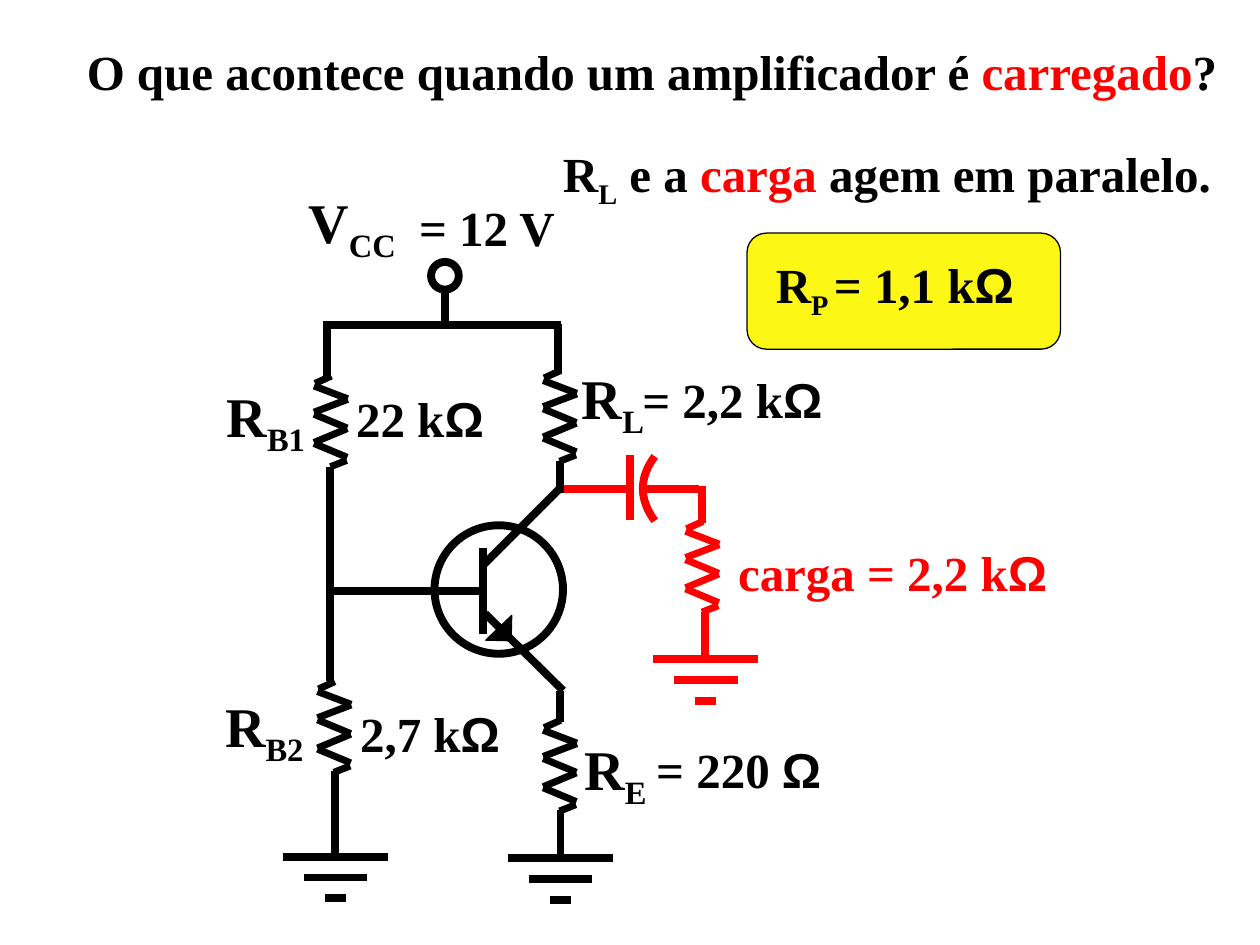
"""Build a slide on how a load changes a transistor amplifier."""
from lxml.etree import SubElement
from pptx import Presentation
from pptx.dml.color import RGBColor
from pptx.enum.shapes import MSO_CONNECTOR, MSO_SHAPE
from pptx.enum.text import MSO_AUTO_SIZE
from pptx.oxml.ns import qn
from pptx.util import Cm, Pt

COLORS = {"ink": "000000", "load": "FF0000", "box": "FDF715"}
OHM = ("Ω", {"font": "Arial"})
SUB = {"sub": True}
RED = {"color": "load"}

ZIGZAG = [
    (0.68, 0.46, 0, 0.2), (0.67, 1.05, 0, 0.77), (0.67, 1.64, 0, 1.36),
    (0, 1.34, 0.67, 1.06), (0, 0.73, 0.68, 0.47),
    (0.02, 0.15, 0.35, 0), (0.33, 1.83, 0.66, 1.7),
]
RESISTORS = [
    (10.95, 7.47, "ink"), (6.33, 7.58, "ink"), (10.95, 14.52, "ink"),
    (6.4, 13.74, "ink"), (13.82, 10.51, "load"),
]
GROUNDS = [(11.3, 17.3, "ink"), (6.76, 17.27, "ink"), (14.23, 13.29, "load")]
WIRES = {
    "load": [
        (11.3, 9.86, 12.67, 9.86), (12.7, 10.49, 12.7, 9.17),
        (14.1, 9.86, 13, 9.86), (14.22, 12.34, 14.22, 13.28),
        (14.15, 9.8, 14.15, 10.54),
    ],
    "ink": [
        (9.78, 12.37, 11.35, 13.92), (9.73, 11.91, 6.65, 11.91),
        (9.73, 11.4, 11.3, 9.83), (9.73, 11.05, 9.73, 12.78),
        (6.65, 9.42, 6.65, 13.72), (11.28, 9.3, 11.28, 9.93),
        (11.28, 13.92, 11.28, 14.55), (6.58, 6.55, 11.3, 6.55),
        (6.6, 6.48, 6.6, 7.62), (11.25, 7.52, 11.25, 6.53),
        (6.76, 15.54, 6.76, 17.22), (8.97, 5.79, 8.97, 6.6),
        (11.3, 16.33, 11.3, 17.3),
    ],
}
NAMES = [
    (4.32, 7.57, 2.21, "R", "B1"), (5.97, 3.66, 2.41, "V", "CC"),
    (4.29, 13.82, 2.21, "R", "B2"), (11.53, 14.68, 1.83, "R", "E"),
    (11.48, 7.21, 1.83, "R", "L"),
]
LABELS = [
    (8.2, 3.86, 3.25, 1.32, [("= 12 V", {})]),
    (7.01, 14.05, 3.33, 1.45, [("2,7 k", {}), OHM]),
    (6.93, 7.7, 3.1, 1.32, [("22 k", {}), OHM]),
    (12.7, 7.32, 4.14, 1.45, [("= 2,2 k", {}), OHM]),
    (12.98, 14.78, 3.86, 1.32, [("= 220 ", {}), OHM]),
    (14.63, 10.82, 6.78, 1.45,
     [("carga = 2,2 k", RED), ("Ω", {"font": "Arial", **RED})]),
    (1.5, 0.71, 23.37, 1.32,
     [("O que acontece quando um amplificador é ", {}),
      ("carregado", RED), ("?", {})]),
    (11.1, 2.77, 13.64, 1.32,
     [("R", {}), ("L", SUB), (" e a ", {}), ("carga ", RED),
      ("agem em paralelo.", {})]),
    (15.39, 5, 5.41, 1.45,
     [("R", {}), ("P ", SUB), ("= 1,1 k", {}), OHM]),
]


def rgb(name):
    """Return the named colour."""
    return RGBColor.from_string(COLORS[name])


def set_line(sp, color, width):
    """Set the colour and width of an outline."""
    sp.line.color.rgb = rgb(color)
    sp.line.width = Pt(width)


def add_line(s, x1, y1, x2, y2, color="ink", width=4.5):
    """Draw a straight line between two points in centimetres."""
    sp = s.shapes.add_connector(
        MSO_CONNECTOR.STRAIGHT, Cm(x1), Cm(y1), Cm(x2), Cm(y2))
    set_line(sp, color, width)
    SubElement(sp._element.spPr, qn("a:effectLst"))


def add_preset(s, kind, x, y, w, h, fill=None, width=4.5):
    """Draw a preset shape with a black outline and an optional fill."""
    sp = s.shapes.add_shape(kind, Cm(x), Cm(y), Cm(w), Cm(h))
    sp.shadow.inherit = False
    set_line(sp, "ink", width)
    if fill:
        sp.fill.solid()
        sp.fill.fore_color.rgb = rgb(fill)
    else:
        sp.fill.background()
    return sp


def add_resistor(s, x, y, color):
    """Draw a zigzag resistor from its top left corner."""
    for x1, y1, x2, y2 in ZIGZAG:
        add_line(s, x + x1, y + y1, x + x2, y + y2, color, 4)


def add_ground(s, x, y, color):
    """Draw three shrinking bars centred on x."""
    for i, half in enumerate((1.06, 0.64, 0.21)):
        add_line(s, x - half, y + 0.42 * i, x + half, y + 0.42 * i, color)


def add_capacitor_plate(s, x, y):
    """Draw the curved plate with its leftmost point at x, y."""
    steps = [i / 8 for i in range(-8, 9)]
    points = [(Cm(x + 0.24 * t * t), Cm(y + 0.65 * t)) for t in steps]
    builder = s.shapes.build_freeform(*points[0])
    builder.add_line_segments(points[1:], close=False)
    sp = builder.convert_to_shape()
    sp.shadow.inherit = False
    sp.fill.background()
    set_line(sp, "load", 4.5)


def add_run(p, text, size=28, color="ink", font="Times New Roman", sub=False):
    """Append a bold run with the given format."""
    r = p.add_run()
    r.text = text
    r.font.size = Pt(size)
    r.font.bold = True
    r.font.name = font
    r.font.color.rgb = rgb(color)
    if sub:
        r._r.get_or_add_rPr().set("baseline", "-25000")


def add_label(s, x, y, w, h, runs):
    """Add a text box made of formatted runs."""
    tf = s.shapes.add_textbox(Cm(x), Cm(y), Cm(w), Cm(h)).text_frame
    tf.word_wrap = False
    tf.auto_size = MSO_AUTO_SIZE.SHAPE_TO_FIT_TEXT
    for text, style in runs:
        add_run(tf.paragraphs[0], text, **style)


def main():
    """Build and save the slide."""
    prs = Presentation()
    prs.slide_width, prs.slide_height = Cm(25.4), Cm(19.05)
    s = prs.slides.add_slide(prs.slide_layouts[6])

    add_preset(s, MSO_SHAPE.ROUNDED_RECTANGLE, 15.06, 4.7, 6.32, 2.34, "box", 0.75)
    add_preset(s, MSO_SHAPE.OVAL, 8.76, 10.59, 2.59, 2.59)
    arrow = add_preset(s, MSO_SHAPE.RIGHT_TRIANGLE, 9.8, 12.4, 0.51, 0.51, "ink", 0.75)
    arrow.rotation = 271.3

    for color, wires in WIRES.items():
        for wire in wires:
            add_line(s, *wire, color=color)
    for resistor in RESISTORS:
        add_resistor(s, *resistor)
    for ground in GROUNDS:
        add_ground(s, *ground)
    add_capacitor_plate(s, 12.96, 9.85)
    add_preset(s, MSO_SHAPE.OVAL, 8.69, 5.28, 0.56, 0.56)

    for x, y, w, name, index in NAMES:
        runs = [(name, {"size": 32}), (index, {"size": 32, **SUB})]
        add_label(s, x, y, w, 1.47, runs)
    for label in LABELS:
        add_label(s, *label)

    prs.save("out.pptx")


if __name__ == "__main__":
    main()
